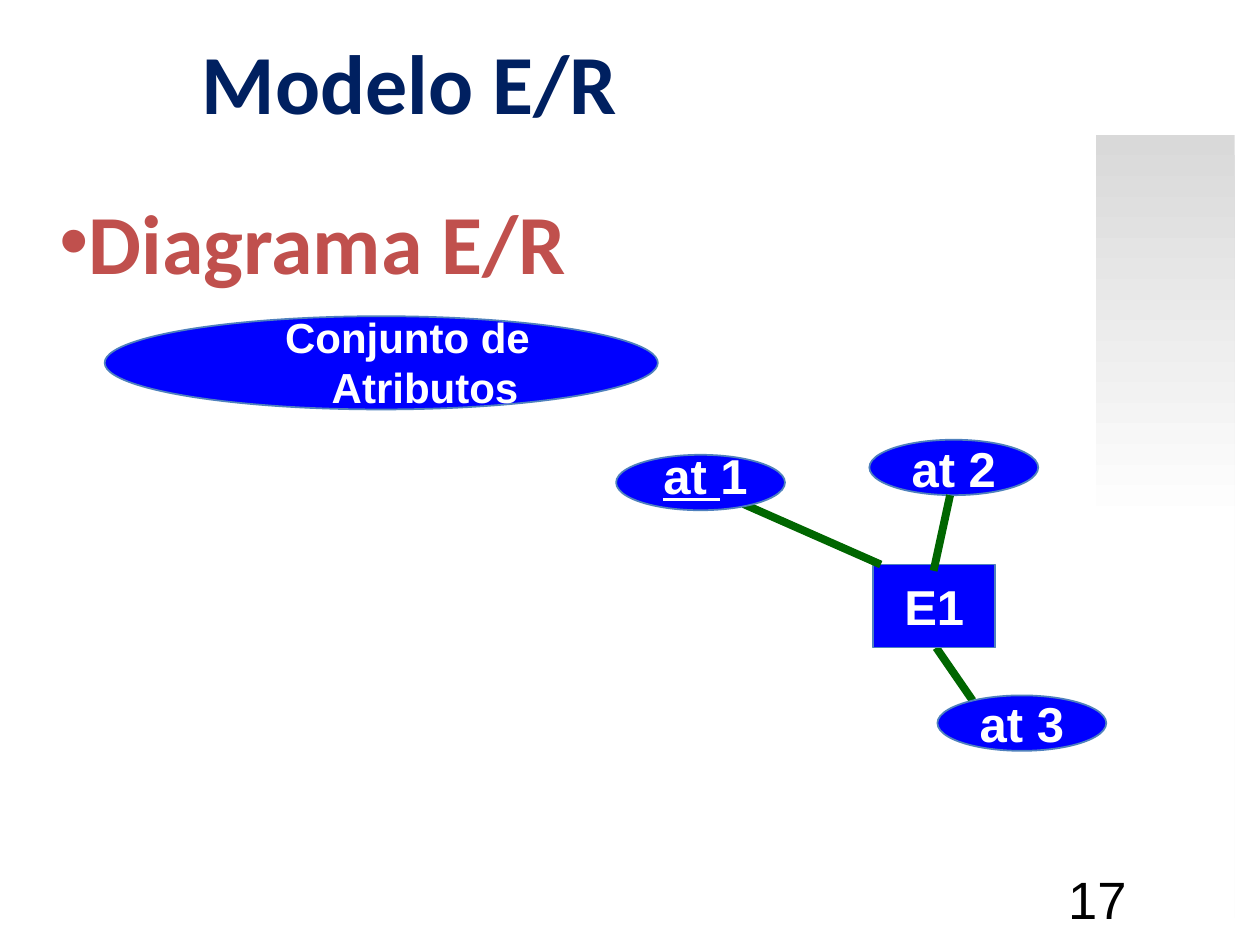
from pptx import Presentation
from pptx.dml.color import RGBColor
from pptx.enum.shapes import MSO_CONNECTOR, MSO_SHAPE
from pptx.enum.text import MSO_ANCHOR, MSO_AUTO_SIZE, PP_ALIGN
from pptx.oxml.ns import qn
from pptx.util import Pt
from lxml.etree import SubElement

HEADING = "Modelo E/R"
TOPIC = "Diagrama E/R"
LEGEND = ["Conjunto de", "Atributos"]
LEGEND_INDENT = 20
PAGE_NUMBER = "17"

ENTITY = ("E1", (499, 322.6, 69.8, 47.5))
ATTRIBUTE_SIZE = (96.5, 31.7)
ATTRIBUTES = [("at 2", (496.8, 251.3)), ("at 3", (535.7, 397.4))]
KEY_ATTRIBUTE = (["at ", "1"], (352.1, 259.9))
LINK_BELOW = ((535, 370.1), (555.8, 400.3))
LINKS_ABOVE = [((424.8, 288), (503.3, 322.6)), ((542.9, 283), (533.5, 326.2))]

NAVY, RED, BLUE = "002060", "C0504D", "0000FF"
OUTLINE, GREEN, WHITE, BLACK, GREY = "4F81BD", "006600", "FFFFFF", "000000", "D9D9D9"


def color(value):
    return RGBColor.from_string(value)


def place(part, box):
    part.left, part.top, part.width, part.height = map(Pt, box)


def style(paragraph, size, font, shade, bold=True, align=PP_ALIGN.CENTER):
    paragraph.alignment = align
    for run in paragraph.runs:
        run.font.size, run.font.name, run.font.bold = Pt(size), font, bold
        run.font.color.rgb = color(shade)


def set_frame(frame, side, edge, anchor=MSO_ANCHOR.TOP, wrap=True):
    frame.margin_left = frame.margin_right = Pt(side)
    frame.margin_top = frame.margin_bottom = Pt(edge)
    frame.vertical_anchor, frame.word_wrap = anchor, wrap
    frame.auto_size = MSO_AUTO_SIZE.NONE


def add_node(slide, kind, box, label=""):
    node = slide.shapes.add_shape(kind, *map(Pt, box))
    node.shadow.inherit = False
    node.fill.solid()
    node.fill.fore_color.rgb = color(BLUE)
    node.line.color.rgb = color(OUTLINE)
    node.line.width = Pt(1)
    if label:
        node.text_frame.text = label
        set_frame(node.text_frame, 5, 3, MSO_ANCHOR.MIDDLE, False)
        style(node.text_frame.paragraphs[0], 28, "Arial", WHITE)


def add_label(slide, box, side=5, edge=3):
    frame = slide.shapes.add_textbox(*map(Pt, box)).text_frame
    set_frame(frame, side, edge)
    return frame


def add_link(slide, start, end):
    link = slide.shapes.add_connector(MSO_CONNECTOR.STRAIGHT, *map(Pt, start + end))
    link.line.color.rgb = color(GREEN)
    link.line.width = Pt(4.5)
    SubElement(link._element.spPr, qn("a:effectLst"))


def add_side_band(slide):
    band = slide.shapes.add_shape(MSO_SHAPE.RECTANGLE, *map(Pt, (626.4, 77, 79.2, 447.8)))
    band.shadow.inherit = False
    band.line.fill.background()
    band.fill.gradient()
    band.fill.gradient_angle = 270
    for stop, shade, position in zip(band.fill.gradient_stops, (GREY, WHITE), (0, 0.5)):
        stop.color.rgb, stop.position = color(shade), position
    slide.shapes._spTree.insert(2, band._element)


def add_headings(slide):
    heading, topic = slide.placeholders[0], slide.placeholders[1]
    place(heading, (-90, 13.7, 648, 90))
    heading.text_frame.text = HEADING
    set_frame(heading.text_frame, 7.2, 3.6)
    style(heading.text_frame.paragraphs[0], 48, "Calibri", NAVY)

    place(topic, (31, 105.8, 612, 51.8))
    topic.text_frame.text = TOPIC
    set_frame(topic.text_frame, 3, 3)
    paragraph = topic.text_frame.paragraphs[0]
    style(paragraph, 48, "Calibri", RED, align=PP_ALIGN.LEFT)
    properties = paragraph._p.get_or_add_pPr()
    properties.set("marL", str(Pt(16)))
    properties.set("indent", str(Pt(-16)))
    SubElement(properties, qn("a:buFont")).set("typeface", "Arial")
    SubElement(properties, qn("a:buChar")).set("char", "•")


def add_legend(slide):
    add_node(slide, MSO_SHAPE.OVAL, (59.8, 180.7, 316.1, 53.3))
    legend = add_label(slide, (144, 175, 177.8, 63.4))
    legend.text = "\n".join(LEGEND)
    for paragraph in legend.paragraphs:
        style(paragraph, 24, "Arial", WHITE)
    legend.paragraphs[1]._p.get_or_add_pPr().set("marL", str(Pt(LEGEND_INDENT)))


def add_diagram(slide):
    add_link(slide, *LINK_BELOW)
    entity_name, entity_box = ENTITY
    add_node(slide, MSO_SHAPE.RECTANGLE, entity_box, entity_name)
    for name, corner in ATTRIBUTES:
        add_node(slide, MSO_SHAPE.OVAL, corner + ATTRIBUTE_SIZE, name)
    for start, end in LINKS_ABOVE:
        add_link(slide, start, end)

    key_parts, key_corner = KEY_ATTRIBUTE
    add_node(slide, MSO_SHAPE.OVAL, key_corner + ATTRIBUTE_SIZE)
    key_label = add_label(slide, (363.6, 251.3, 79.2, 39.6)).paragraphs[0]
    for part in key_parts:
        key_label.add_run().text = part
    style(key_label, 28, "Arial", WHITE)
    key_label.runs[0].font.underline = True


def main():
    deck = Presentation()
    deck.slide_width, deck.slide_height = Pt(720), Pt(540)
    slide = deck.slides.add_slide(deck.slide_layouts[1])
    add_side_band(slide)
    add_headings(slide)
    page = add_label(slide, (552.2, 491.8, 149.8, 36), 7.2, 3.6)
    page.text = PAGE_NUMBER
    style(page.paragraphs[0], 30, "Arial", BLACK, bold=False)
    add_legend(slide)
    add_diagram(slide)
    deck.save("out.pptx")


if __name__ == "__main__":
    main()
